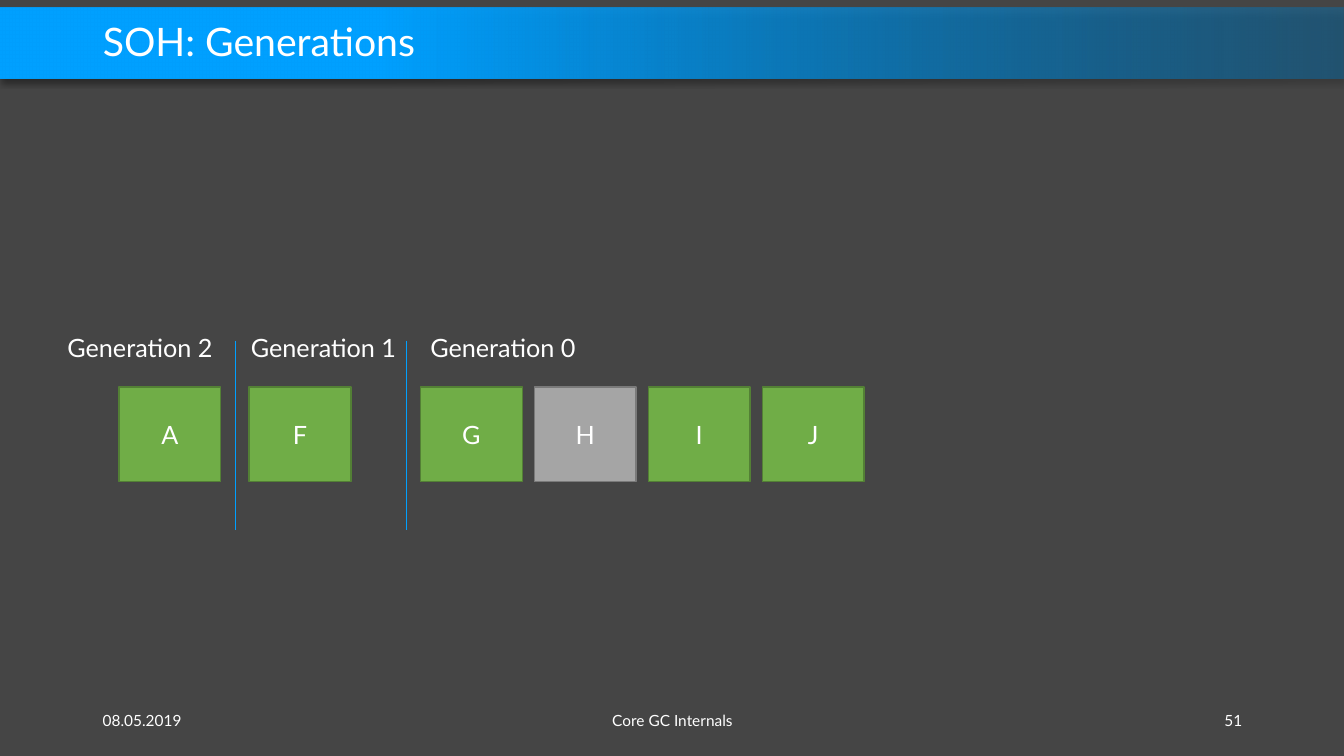
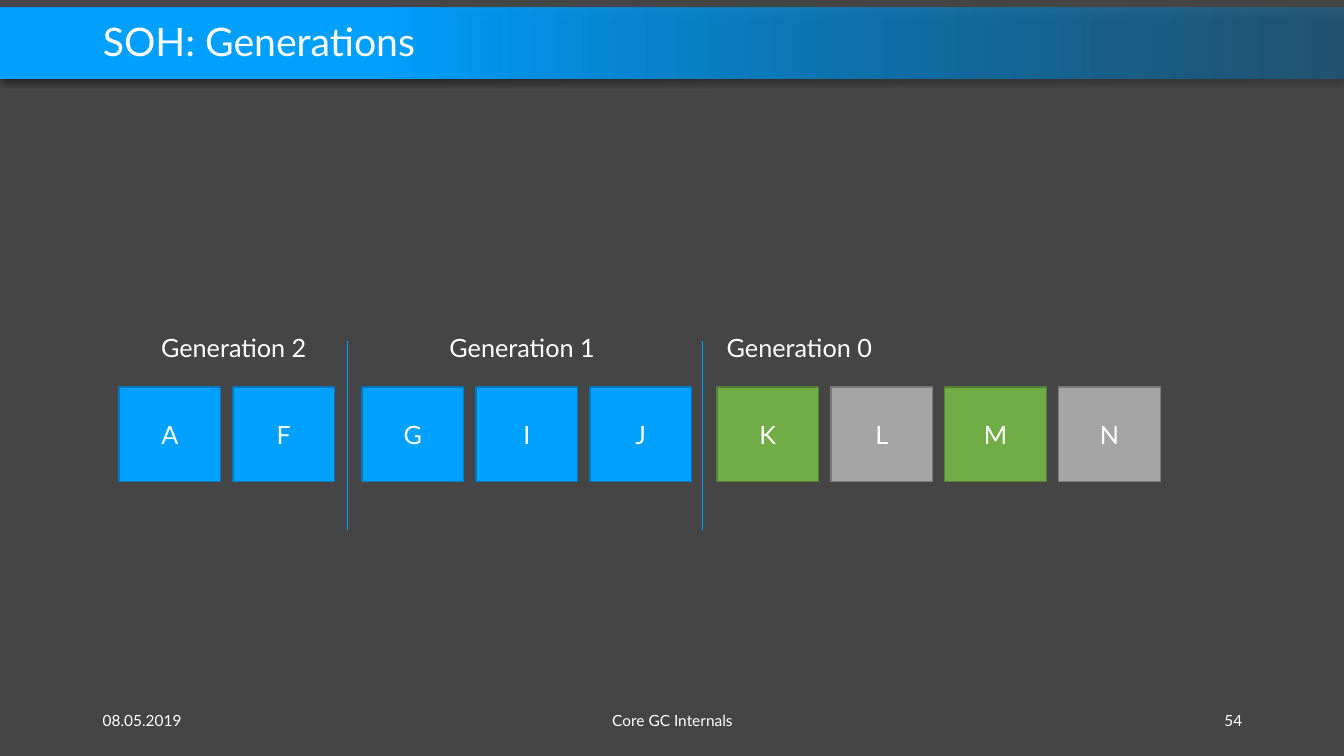
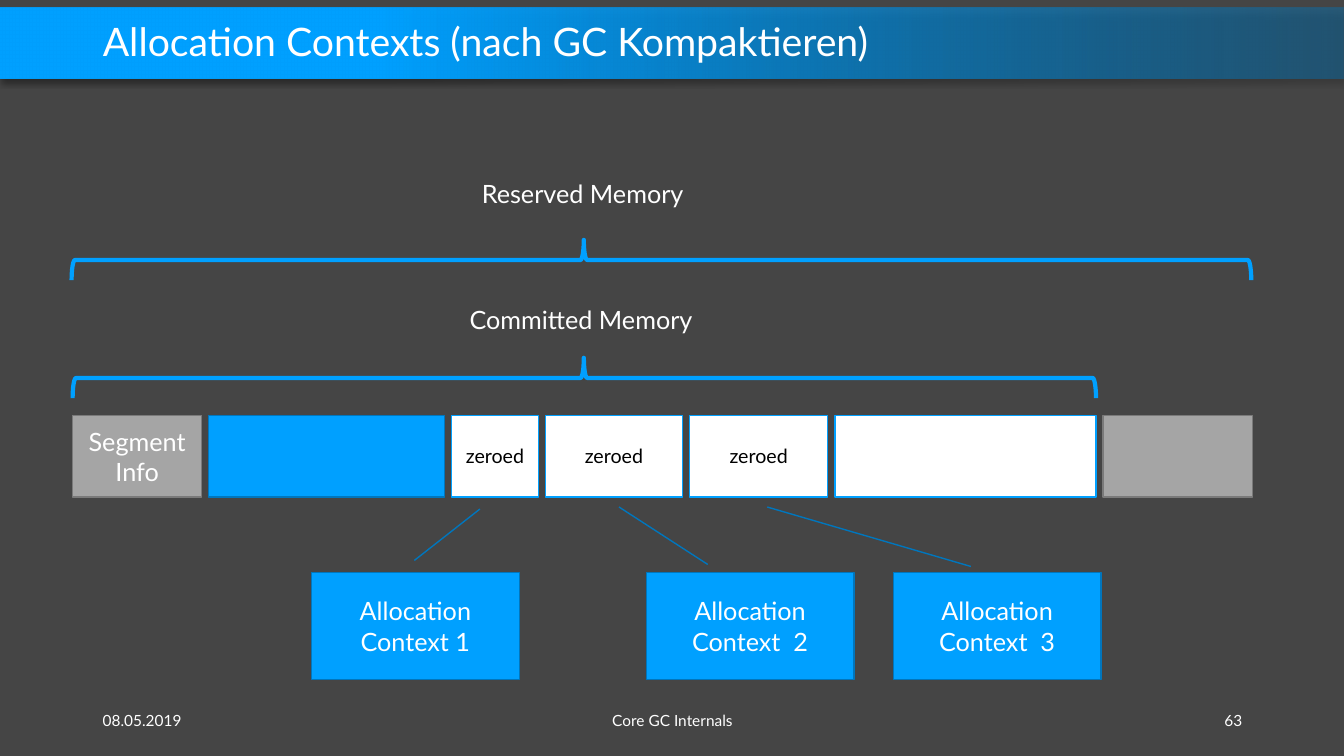
from lxml.etree import SubElement
from pptx import Presentation
from pptx.dml.color import RGBColor
from pptx.enum.shapes import MSO_CONNECTOR, MSO_SHAPE
from pptx.enum.text import MSO_ANCHOR, MSO_AUTO_SIZE, PP_ALIGN
from pptx.oxml.ns import qn
from pptx.util import Inches, Pt

COLORS = {
    "background": "454545", "white": "FFFFFF", "black": "000000",
    "blue": "00A0FF", "blue_edge": "0076BD", "band_end": "0078BF",
    "green": "70AD47", "green_edge": "538035",
    "gray": "A5A5A5", "gray_edge": "7A7A7A",
}
# Box style: fill, outline, text colour, text size
STYLES = {
    "blue": ("blue", "blue_edge", "white", 18),
    "green": ("green", "green_edge", "white", 18),
    "gray": ("gray", "gray_edge", "white", 18),
    "white": ("white", "blue", "black", 14),
}
FONT = "Lato"
SLIDE_SIZE = (13.33, 7.5)
BAND = (0, 0.08, 13.33, 0.7)
TITLE = (0.92, 0.16, 11.5, 0.55)
FOOTER_TOP, FOOTER_HEIGHT = 6.95, 0.4
DATE, FOOTER = "08.05.2019", "Core GC Internals"

# Each generation: label, label left, left of first object, objects with style
GENERATION_SLIDES = [
    ("SOH: Generations", 51, [
        ("Generation 2", 0.57, 1.18, [("A", "green")]),
        ("Generation 1", 2.39, 2.47, [("F", "green")]),
        ("Generation 0", 4.17, 4.17,
         [("G", "green"), ("H", "gray"), ("I", "green"), ("J", "green")]),
    ]),
    ("SOH: Generations", 54, [
        ("Generation 2", 1.5, 1.18, [("A", "blue"), ("F", "blue")]),
        ("Generation 1", 4.36, 3.59, [("G", "blue"), ("I", "blue"), ("J", "blue")]),
        ("Generation 0", 7.11, 7.11,
         [("K", "green"), ("L", "gray"), ("M", "green"), ("N", "gray")]),
    ]),
]
OBJECT_TOP, OBJECT_WIDTH, OBJECT_HEIGHT, OBJECT_PITCH = 3.84, 1.01, 0.94, 1.13
GENERATION_LABEL_TOP, LABEL_HEIGHT = 3.25, 0.4
DIVIDER_TOP, DIVIDER_BOTTOM, DIVIDER_OFFSET = 3.38, 5.26, 0.14

CONTEXT_TITLE, CONTEXT_NUMBER = "Allocation Contexts (nach GC Kompaktieren)", 63
# Memory segments: text, style, width
SEGMENTS = [
    ("Segment Info", "gray", 1.28), ("", "blue", 2.34),
    ("zeroed", "white", 0.86), ("zeroed", "white", 1.36),
    ("zeroed", "white", 1.37), ("", "white", 2.59), ("", "gray", 1.48),
]
SEGMENT_LEFT, SEGMENT_TOP, SEGMENT_HEIGHT, SEGMENT_GAP = 0.72, 4.12, 0.81, 0.07
# Braces: label, label box, left, top, width
BRACES = [
    ("Committed Memory", (4.56, 2.97, 2.46, LABEL_HEIGHT), 0.72, 3.55, 10.15),
    ("Reserved Memory", (4.68, 1.72, 2.22, LABEL_HEIGHT), 0.71, 2.38, 11.7),
]
BRACE_DEPTH, BRACE_TIP = 0.4, 5.79
# Callouts: text, left, line start (x, y), line end (x, y)
CALLOUTS = [
    ("Allocation Context 1", 3.09, (4.11, 5.56), (4.76, 5.05)),
    ("Allocation Context  2", 6.41, (7.02, 5.6), (6.14, 5.03)),
    ("Allocation Context  3", 8.86, (9.63, 5.62), (7.61, 5.03)),
]
CALLOUT_TOP, CALLOUT_WIDTH, CALLOUT_HEIGHT = 5.68, 2.06, 1.06


def rgb(name):
    return RGBColor.from_string(COLORS[name])


def inches(*lengths):
    return [Inches(length) for length in lengths]


def set_all(target, values):
    for name, value in values.items():
        setattr(target, name, value)


def write(shape, text, size=18, color="white", align=PP_ALIGN.CENTER, **frame_format):
    frame = shape.text_frame
    set_all(frame, {"word_wrap": True, "vertical_anchor": MSO_ANCHOR.MIDDLE, **frame_format})
    paragraph = frame.paragraphs[0]
    paragraph.alignment = align
    run = paragraph.add_run()
    run.text = text
    set_all(run.font, {"name": FONT, "size": Pt(size)})
    run.font.color.rgb = rgb(color)
    return paragraph


def add_text(slide, box, text, **text_format):
    write(slide.shapes.add_textbox(*inches(*box)), text, **text_format)


def add_label(slide, box, text):
    add_text(slide, box, text, align=PP_ALIGN.LEFT, word_wrap=False,
             vertical_anchor=MSO_ANCHOR.TOP, auto_size=MSO_AUTO_SIZE.SHAPE_TO_FIT_TEXT)


def add_box(slide, box, text, style, preset=MSO_SHAPE.RECTANGLE):
    fill, edge, text_color, size = STYLES[style]
    shape = slide.shapes.add_shape(preset, *inches(*box))
    shape.shadow.inherit = False
    shape.fill.solid()
    shape.fill.fore_color.rgb = rgb(fill)
    shape.line.color.rgb = rgb(edge)
    shape.line.width = Pt(1)
    if text:
        write(shape, text, size, text_color)
    return shape


def add_divider(slide, x):
    line = slide.shapes.add_connector(
        MSO_CONNECTOR.STRAIGHT, *inches(x, DIVIDER_TOP, x, DIVIDER_BOTTOM))
    line.line.color.rgb = rgb("blue")
    line.line.width = Pt(0.5)
    SubElement(line.element.spPr, qn("a:effectLst"))


def add_brace(slide, left, top, width):
    """Add a brace that opens downwards, given the area it covers once turned."""
    turned_left = left + (width - BRACE_DEPTH) / 2
    turned_top = top - (width - BRACE_DEPTH) / 2
    brace = slide.shapes.add_shape(
        MSO_SHAPE.LEFT_BRACE, *inches(turned_left, turned_top, BRACE_DEPTH, width))
    brace.rotation = 90
    brace.adjustments[1] = (left + width - BRACE_TIP) / width
    brace.shadow.inherit = False
    brace.fill.background()
    brace.line.color.rgb = rgb("blue")
    brace.line.width = Pt(3)


def add_callout(slide, text, left, start, end):
    box = (left, CALLOUT_TOP, CALLOUT_WIDTH, CALLOUT_HEIGHT)
    callout = add_box(slide, box, text, "blue", MSO_SHAPE.LINE_CALLOUT_1)
    for index, (x, y) in enumerate((start, end)):
        callout.adjustments[2 * index] = (y - CALLOUT_TOP) / CALLOUT_HEIGHT
        callout.adjustments[2 * index + 1] = (x - left) / CALLOUT_WIDTH


def add_alpha(color_element, percent):
    SubElement(color_element, qn("a:alpha"), val=str(percent * 1000))


def add_band(slide, layout):
    """Draw the title band and move it to the layout, behind the title."""
    band = slide.shapes.add_shape(MSO_SHAPE.RECTANGLE, *inches(*BAND))
    band.line.fill.background()
    band.fill.gradient()
    band.fill.gradient_angle = 180
    stops = band.fill.gradient_stops
    for stop, position, color in zip(stops, (0, 0.72), ("band_end", "blue")):
        stop.position = position
        stop.color.rgb = rgb(color)
    properties = band.element.spPr
    add_alpha(next(properties.iter(qn("a:srgbClr"))), 40)
    effects = SubElement(properties, qn("a:effectLst"))
    shadow = SubElement(effects, qn("a:outerShdw"), blurRad=str(Pt(4)), dist=str(Pt(3)),
                        dir="5400000", algn="t", rotWithShape="0")
    add_alpha(SubElement(shadow, qn("a:srgbClr"), val=COLORS["black"]), 40)
    layout.shapes.element.insert(2, band.element)


def add_slide(presentation, title, number):
    slide = presentation.slides.add_slide(presentation.slide_layouts[5])
    heading = slide.shapes.title
    set_all(heading, dict(zip(("left", "top", "width", "height"), inches(*TITLE))))
    write(heading, title, 28, align=PP_ALIGN.LEFT).line_spacing = 0.9
    for left, width, text, align in (
            (0.92, 3, DATE, PP_ALIGN.LEFT),
            (4.42, 4.5, FOOTER, PP_ALIGN.CENTER),
            (9.42, 3, str(number), PP_ALIGN.RIGHT)):
        add_text(slide, (left, FOOTER_TOP, width, FOOTER_HEIGHT), text, size=11, align=align)
    return slide


def add_generations(slide, generations):
    for index, (label, label_left, first_left, objects) in enumerate(generations):
        if index:
            add_divider(slide, first_left - DIVIDER_OFFSET)
        add_label(slide, (label_left, GENERATION_LABEL_TOP, 1.64, LABEL_HEIGHT), label)
        for column, (name, style) in enumerate(objects):
            left = first_left + column * OBJECT_PITCH
            add_box(slide, (left, OBJECT_TOP, OBJECT_WIDTH, OBJECT_HEIGHT), name, style)


def add_allocation_contexts(slide):
    left = SEGMENT_LEFT
    for text, style, width in SEGMENTS:
        add_box(slide, (left, SEGMENT_TOP, width, SEGMENT_HEIGHT), text, style)
        left += width + SEGMENT_GAP
    for label, label_box, *brace in BRACES:
        add_brace(slide, *brace)
        add_label(slide, label_box, label)
    for callout in CALLOUTS:
        add_callout(slide, *callout)


def main():
    presentation = Presentation()
    presentation.slide_width, presentation.slide_height = inches(*SLIDE_SIZE)
    background = presentation.slide_master.background.fill
    background.solid()
    background.fore_color.rgb = rgb("background")
    for title, number, generations in GENERATION_SLIDES:
        add_generations(add_slide(presentation, title, number), generations)
    context_slide = add_slide(presentation, CONTEXT_TITLE, CONTEXT_NUMBER)
    add_allocation_contexts(context_slide)
    add_band(context_slide, context_slide.slide_layout)
    presentation.save("out.pptx")


if __name__ == "__main__":
    main()
